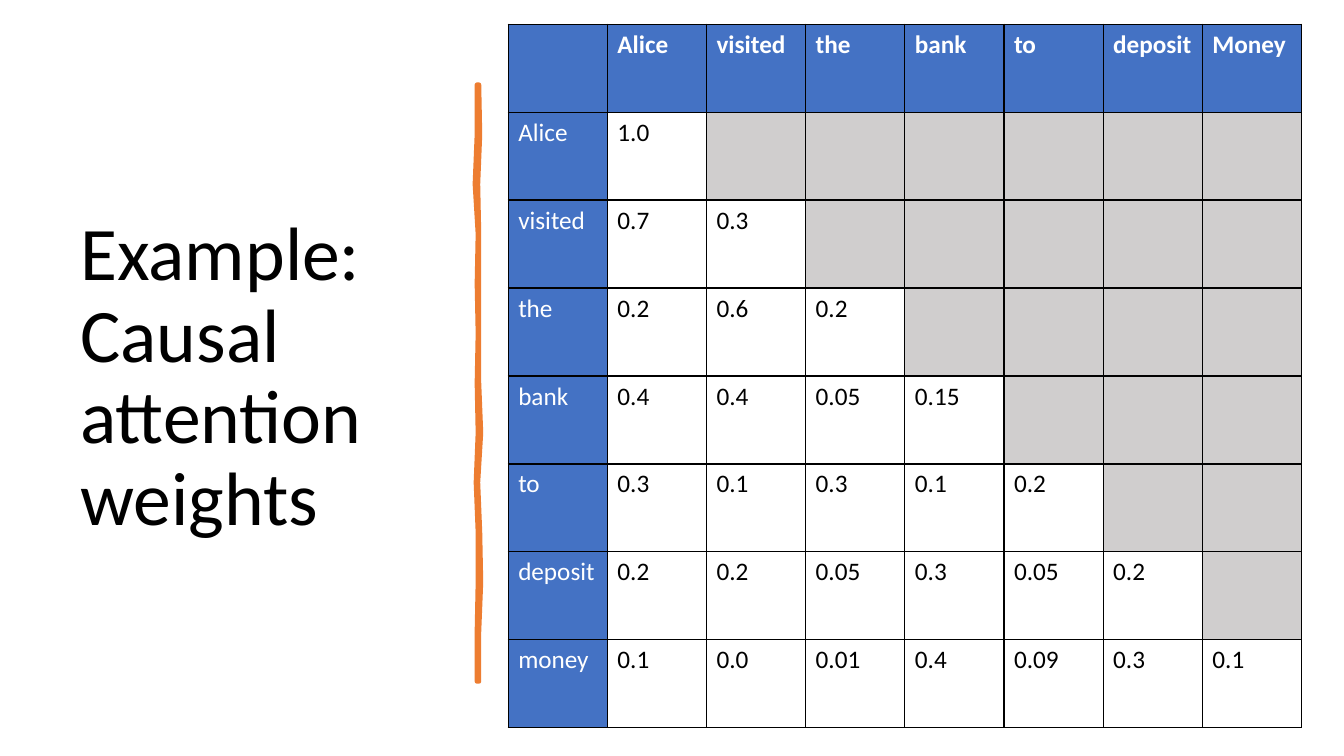
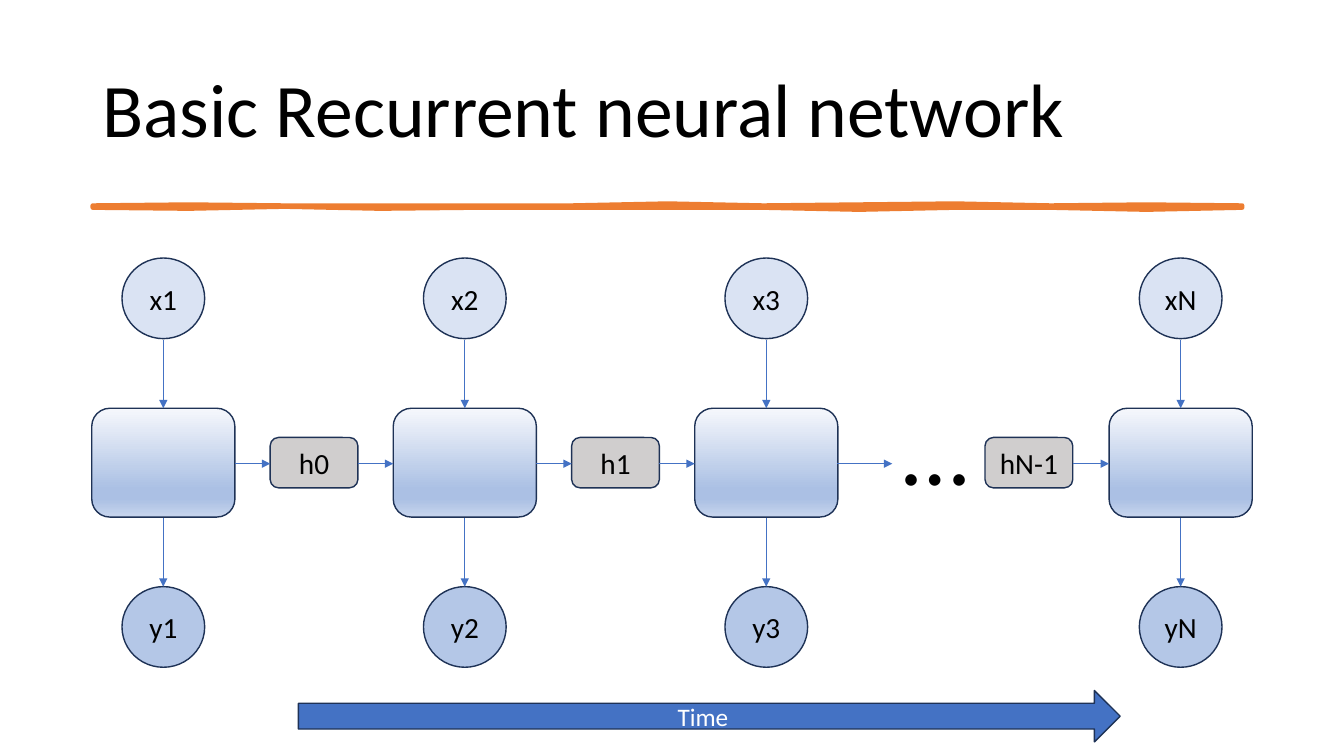
"""Build two slides: a causal attention table and a recurrent neural network diagram."""
from dataclasses import dataclass
from typing import Any

from lxml.etree import SubElement
from pptx import Presentation
from pptx.dml.color import RGBColor
from pptx.enum.shapes import MSO_CONNECTOR, MSO_SHAPE
from pptx.enum.text import MSO_ANCHOR, PP_ALIGN
from pptx.oxml.ns import qn
from pptx.util import Emu, Pt

PX = 9144
COLORS = {
    "black": "000000",
    "white": "FFFFFF",
    "blue": "4472C4",
    "outline": "1E3256",
    "input": "DAE3F3",
    "output": "B4C7E7",
    "gray": "D0CECE",
    "brush": "ED7D31",
}
CELL_GRADIENT = ((0, "F6F8FC"), (74, "ABC0E4"), (83, "ABC0E4"), (100, "C7D5ED"))
TITLE_FORMAT = {"line_spacing": 0.9}
LABEL_FORMAT = {"alignment": PP_ALIGN.CENTER, "space_after": Pt(6)}
NO_MARGINS = {f"margin_{side}": 0 for side in ("left", "right", "top", "bottom")}

WORDS = ("Alice", "visited", "the", "bank", "to", "deposit", "money")
WEIGHTS = (
    ("1.0",),
    ("0.7", "0.3"),
    ("0.2", "0.6", "0.2"),
    ("0.4", "0.4", "0.05", "0.15"),
    ("0.3", "0.1", "0.3", "0.1", "0.2"),
    ("0.2", "0.2", "0.05", "0.3", "0.05", "0.2"),
    ("0.1", "0.0", "0.01", "0.4", "0.09", "0.3", "0.1"),
)


@dataclass(frozen=True)
class Area:
    """Rectangle measured in px."""
    left: int
    top: int
    width: int
    height: int

    def emu(self) -> tuple[Emu, ...]:
        """Return the rectangle in EMU."""
        return tuple(px(side) for side in (self.left, self.top, self.width, self.height))


@dataclass(frozen=True)
class Step:
    """Time step of the network, with the state that feeds it."""
    name: str
    center: int
    state: str = ""
    state_center: int = 0
    source: int | None = None


@dataclass(frozen=True)
class Brush:
    """Hand-drawn rule: start, length, turn and the offsets of its two edges."""
    left: int
    top: int
    length: int
    rotation: int
    edges: tuple[tuple[int, int], ...]


STEPS = (
    Step("1", 162),
    Step("2", 461, "h0", 311, 233),
    Step("3", 760, "h1", 610, 532),
    Step("N", 1171, "hN-1", 1020),
)
TABLE_BRUSH = Brush(178, 379, 592, 90, (
    (0, 2), (-1, 2), (1, 4), (0, 1), (0, 2), (0, 1), (0, 2),
    (-2, 1), (1, 3), (-1, 1), (-2, 1), (0, 2), (0, 2)))
NETWORK_BRUSH = Brush(92, 204, 1140, 0, (
    (0, 2), (-1, 3), (0, 1), (0, 3), (0, 2), (0, 2), (-2, 2),
    (0, 2), (-1, 4), (-2, 2), (0, 2), (-1, 4), (0, 2)))


def px(value: float) -> Emu:
    """Convert px to EMU."""
    return Emu(round(value * PX))


def rgb(name: str) -> RGBColor:
    """Look up a named colour."""
    return RGBColor.from_string(COLORS[name])


def apply(target: Any, values: dict[str, Any]) -> None:
    """Set each format value on the target."""
    for name, value in values.items():
        setattr(target, name, value)


def write(frame: Any, text: str, size: float, color: str,
          paragraph_format: dict[str, Any] | None = None, bold: bool = False) -> None:
    """Write one formatted paragraph into a text frame."""
    para = frame.paragraphs[0]
    apply(para, paragraph_format or {})
    span = para.add_run()
    span.text = text
    apply(span.font, {"name": "Calibri", "size": Pt(size), "bold": bold})
    span.font.color.rgb = rgb(color)


def add_text(page: Any, area: Area, text: str, size: float,
             paragraph_format: dict[str, Any], anchor: Any = MSO_ANCHOR.MIDDLE) -> None:
    """Add a wrapping text box."""
    box = page.shapes.add_textbox(*area.emu())
    apply(box.text_frame, {"word_wrap": True, "vertical_anchor": anchor})
    write(box.text_frame, text, size, "black", paragraph_format)


def add_title(page: Any, area: Area, text: str) -> None:
    """Add a slide title."""
    add_text(page, area, text, 54, TITLE_FORMAT)


def paint(shape: Any, fill: str, line: str, width: float) -> None:
    """Give a shape a solid fill and an outline, without shadow."""
    shape.shadow.inherit = False
    shape.fill.solid()
    shape.fill.fore_color.rgb = rgb(fill)
    shape.line.color.rgb = rgb(line)
    shape.line.width = Pt(width)


def add_shape(page: Any, kind: Any, area: Area, fill: str, text: str = "",
              size: float = 20.9, color: str = "black") -> Any:
    """Add an outlined shape with a centred label."""
    shape = page.shapes.add_shape(kind, *area.emu())
    paint(shape, fill, "outline", 1)
    if text:
        apply(shape.text_frame, NO_MARGINS | {"vertical_anchor": MSO_ANCHOR.MIDDLE})
        write(shape.text_frame, text, size, color, LABEL_FORMAT)
    return shape


def add_cell(page: Any, center: int) -> None:
    """Add a network cell with a vertical gradient."""
    cell = add_shape(page, MSO_SHAPE.ROUNDED_RECTANGLE, Area(center - 71, 405, 142, 108), "input")
    cell.fill.gradient()
    cell.fill.gradient_angle = 270
    stops = cell.element.spPr.find(".//" + qn("a:gsLst"))
    for stop in list(stops):
        stops.remove(stop)
    for position, color in CELL_GRADIENT:
        stop = SubElement(stops, qn("a:gs"), pos=str(position * 1000))
        SubElement(stop, qn("a:srgbClr"), val=color)


def add_arrow(page: Any, start: tuple[int, int], end: tuple[int, int]) -> None:
    """Add a thin arrow between two points."""
    arrow = page.shapes.add_connector(
        MSO_CONNECTOR.STRAIGHT, *(px(value) for value in (*start, *end)))
    arrow.line.color.rgb = rgb("blue")
    arrow.line.width = Pt(0.5)
    SubElement(arrow.line._get_or_add_ln(), qn("a:tailEnd"), type="triangle")
    SubElement(arrow.element.spPr, qn("a:effectLst"))


def add_brush(page: Any, brush: Brush) -> None:
    """Draw an uneven orange rule."""
    upper, lower = zip(*brush.edges)
    pitch = brush.length / (len(upper) - 1)
    outline = [*enumerate(upper), *reversed(list(enumerate(lower)))]
    points = [(px(brush.left + index * pitch), px(brush.top + offset))
              for index, offset in outline]
    builder = page.shapes.build_freeform(*points[0])
    builder.add_line_segments(points[1:], close=True)
    stroke = builder.convert_to_shape()
    stroke.rotation = brush.rotation
    paint(stroke, "brush", "brush", 3.25)


def add_borders(cell: Any) -> None:
    """Draw black borders on all four sides of a table cell."""
    properties = cell._tc.get_or_add_tcPr()
    for side in ("lnL", "lnR", "lnT", "lnB"):
        line = SubElement(properties, qn(f"a:{side}"), w=str(Pt(1)))
        fill = SubElement(line, qn("a:solidFill"))
        SubElement(fill, qn("a:srgbClr"), val=COLORS["black"])


def add_weights(page: Any, area: Area) -> None:
    """Add the lower-triangular attention table."""
    rows = [("", *WORDS[:-1], "Money")]
    rows += [(word, *weights) for word, weights in zip(WORDS, WEIGHTS)]
    count = len(rows)
    table = page.shapes.add_table(count, count, *area.emu()).table
    for column in table.columns:
        column.width = px(area.width / count)
    for row_index, values in enumerate(rows):
        table.rows[row_index].height = px(area.height / count)
        for column_index in range(count):
            cell = table.cell(row_index, column_index)
            heading = row_index == 0 or column_index == 0
            visible = column_index < len(values)
            add_borders(cell)
            cell.fill.solid()
            cell.fill.fore_color.rgb = rgb(
                "blue" if heading else "white" if visible else "gray")
            if visible and values[column_index]:
                write(cell.text_frame, values[column_index], 18,
                      "white" if heading else "black", bold=row_index == 0)


def add_step(page: Any, step: Step) -> None:
    """Add one time step: input, cell, output and incoming state."""
    center = step.center
    for prefix, top, fill in (("x", 256, "input"), ("y", 582, "output")):
        add_shape(page, MSO_SHAPE.OVAL, Area(center - 41, top, 82, 80), fill, prefix + step.name)
    add_cell(page, center)
    for start, end in ((337, 405), (514, 582)):
        add_arrow(page, (center, start), (center, end))
    if step.state:
        left = step.state_center - 43
        add_shape(page, MSO_SHAPE.ROUNDED_RECTANGLE, Area(left, 434, 87, 50), "gray", step.state)
        add_arrow(page, (left + 87, 460), (center - 71, 460))
        if step.source is not None:
            add_arrow(page, (step.source, 460), (left, 460))


def build_attention(page: Any) -> None:
    """Build the attention weights slide."""
    add_title(page, Area(70, 70, 374, 611), "Example: Causal attention weights")
    add_brush(page, TABLE_BRUSH)
    add_weights(page, Area(504, 24, 787, 698))


def build_network(page: Any) -> None:
    """Build the recurrent network slide."""
    add_title(page, Area(92, 40, 1150, 145), "Basic Recurrent neural network")
    add_brush(page, NETWORK_BRUSH)
    for step in STEPS:
        add_step(page, step)
    add_arrow(page, (830, 460), (885, 460))
    add_text(page, Area(885, 382, 94, 155), "…", 68.4, {}, MSO_ANCHOR.TOP)
    add_shape(page, MSO_SHAPE.RIGHT_ARROW, Area(296, 685, 815, 51), "blue", "Time", 18, "white")


def main() -> None:
    """Build and save the deck."""
    deck = Presentation()
    apply(deck, {"slide_width": px(1333), "slide_height": px(750)})
    for build in (build_attention, build_network):
        build(deck.slides.add_slide(deck.slide_layouts[6]))
    deck.save("out.pptx")


if __name__ == "__main__":
    main()
